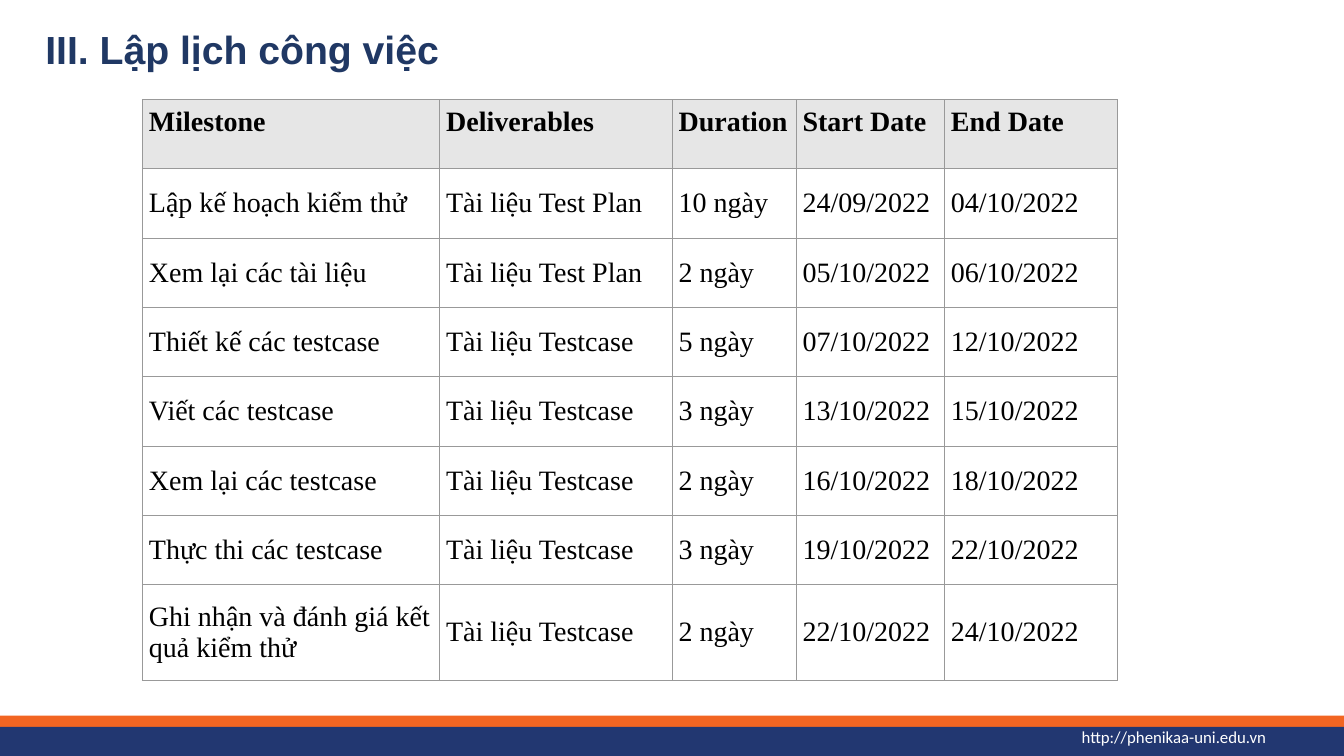
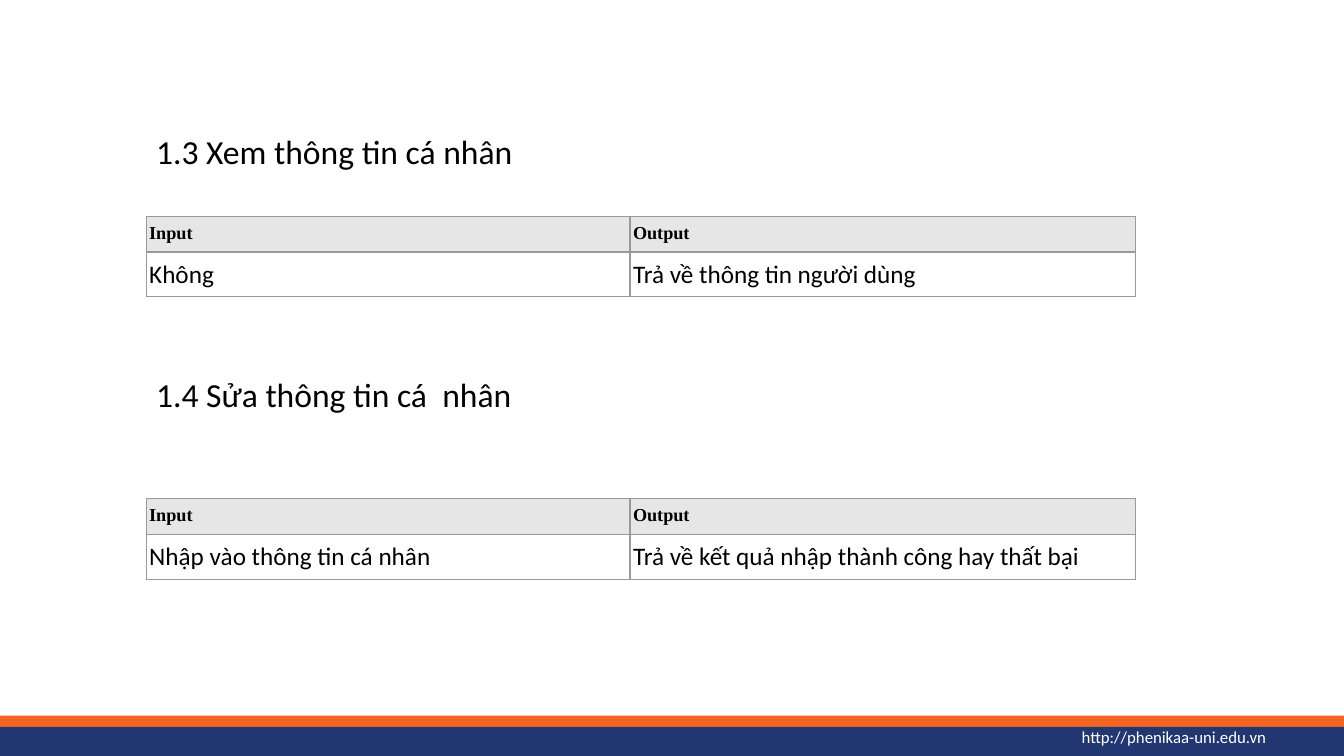
from lxml.etree import SubElement
from pptx import Presentation
from pptx.dml.color import RGBColor
from pptx.enum.shapes import MSO_SHAPE
from pptx.enum.text import MSO_ANCHOR, MSO_AUTO_SIZE, PP_ALIGN
from pptx.oxml.ns import qn
from pptx.util import Pt

NAVY = RGBColor(0x20, 0x38, 0x64)
BLUE = RGBColor(0x22, 0x37, 0x71)
ORANGE = RGBColor(0xF2, 0x65, 0x22)
GREY = RGBColor(0x99, 0x99, 0x99)
PALE = RGBColor(0xE6, 0xE6, 0xE6)
BLACK = RGBColor(0, 0, 0)
WHITE = RGBColor(0xFF, 0xFF, 0xFF)

PAGE_WIDTH, PAGE_HEIGHT = 960, 540
TITLE_ONLY, BLANK = 5, 6

SCHEDULE_COLUMNS = [212.3, 166, 88.6, 106, 123.8]
SCHEDULE_HEIGHTS = [49.5] * 7 + [68.5]
SCHEDULE = [
    ["Milestone", "Deliverables", "Duration", "Start Date", "End Date"],
    ["Lập kế hoạch kiểm thử", "Tài liệu Test Plan", "10 ngày", "24/09/2022", "04/10/2022"],
    ["Xem lại các tài liệu", "Tài liệu Test Plan", "2 ngày", "05/10/2022", "06/10/2022"],
    ["Thiết kế các testcase", "Tài liệu Testcase", "5 ngày", "07/10/2022", "12/10/2022"],
    ["Viết các testcase", "Tài liệu Testcase", "3 ngày", "13/10/2022", "15/10/2022"],
    ["Xem lại các testcase", "Tài liệu Testcase", "2 ngày", "16/10/2022", "18/10/2022"],
    ["Thực thi các testcase", "Tài liệu Testcase", "3 ngày", "19/10/2022", "22/10/2022"],
    ["Ghi nhận và đánh giá kết quả kiểm thử", "Tài liệu Testcase", "2 ngày",
     "22/10/2022", "24/10/2022"],
]


def style_text(para, font_name, size, color, bold=False):
    """Format every run of a paragraph."""
    for span in para.runs:
        span.font.name = font_name
        span.font.size = Pt(size)
        span.font.color.rgb = color
        span.font.bold = bold


def add_band(page, top, height, color):
    """Draw a full-width band."""
    band = page.shapes.add_shape(
        MSO_SHAPE.RECTANGLE, 0, Pt(top), Pt(PAGE_WIDTH), Pt(height))
    band.shadow.inherit = False
    band.fill.solid()
    band.fill.fore_color.rgb = color
    band.line.fill.background()


def add_label(page, left, top, width, height, text, size, color):
    """Place a line of text and return its frame."""
    box = page.shapes.add_textbox(Pt(left), Pt(top), Pt(width), Pt(height))
    frame = box.text_frame
    frame.word_wrap = True
    frame.text = text
    style_text(frame.paragraphs[0], "Calibri", size, color)
    return frame


def add_page(deck, layout_index):
    """Add a slide with the shared footer."""
    page = deck.slides.add_slide(deck.slide_layouts[layout_index])
    add_band(page, 511.2, 8.3, ORANGE)
    add_band(page, 519.1, 20.9, BLUE)
    frame = add_label(page, 772.6, 519.1, 177, 14.4,
                      "http://phenikaa-uni.edu.vn", 12, WHITE)
    frame.margin_left = frame.margin_right = 0
    frame.margin_top = frame.margin_bottom = 0
    frame.vertical_anchor = MSO_ANCHOR.MIDDLE
    return page


def set_title(page, text):
    """Fill and format the title placeholder."""
    title = page.shapes.title
    title.left, title.top, title.width, title.height = Pt(25.2), Pt(18), Pt(635), Pt(44)
    frame = title.text_frame
    frame.text = text
    frame.auto_size = MSO_AUTO_SIZE.NONE
    frame.vertical_anchor = MSO_ANCHOR.TOP
    para = frame.paragraphs[0]
    para.alignment = PP_ALIGN.LEFT
    para.line_spacing = 0.9
    style_text(para, "Arial", 28, NAVY, bold=True)


def set_borders(cell, width):
    """Draw grey lines on all four sides of a cell."""
    properties = cell._tc.get_or_add_tcPr()
    for side in ("a:lnL", "a:lnR", "a:lnT", "a:lnB"):
        line = SubElement(properties, qn(side), w=str(Pt(width)))
        fill = SubElement(line, qn("a:solidFill"))
        SubElement(fill, qn("a:srgbClr"), val=str(GREY))


def add_grid(page, left, top, widths, heights, rows, margin, border):
    """Add a bordered table with a shaded header and yield its cells by row."""
    table = page.shapes.add_table(
        len(rows), len(widths), Pt(left), Pt(top), Pt(sum(widths)), Pt(sum(heights))).table
    table.first_row = table.horz_banding = False
    for column, width in zip(table.columns, widths):
        column.width = Pt(width)
    for row_index, (row, height, texts) in enumerate(zip(table.rows, heights, rows)):
        row.height = Pt(height)
        for cell, text in zip(row.cells, texts):
            cell.text = text
            cell.margin_left = cell.margin_right = Pt(margin)
            cell.margin_top = cell.margin_bottom = Pt(5)
            set_borders(cell, border)
            if row_index == 0:
                cell.fill.solid()
                cell.fill.fore_color.rgb = PALE
            else:
                cell.fill.background()
            yield row_index == 0, cell


def add_schedule(page, left, top):
    """Place the milestone table."""
    for is_header, cell in add_grid(page, left, top, SCHEDULE_COLUMNS,
                                    SCHEDULE_HEIGHTS, SCHEDULE, 4.8, 0.5):
        para = cell.text_frame.paragraphs[0]
        para.space_after = Pt(8)
        style_text(para, "Times New Roman", 20, BLACK, bold=is_header)
        if not is_header:
            cell.vertical_anchor = MSO_ANCHOR.MIDDLE


def add_function(page, left, top, table_offset, heading, values):
    """Place a function heading with its input and output table below."""
    add_label(page, left, top, 425, 36, heading, 24, BLACK)
    for is_header, cell in add_grid(page, left, top + table_offset, [345.6, 360.8],
                                    [25.6, 32], [["Input", "Output"], values], 2.2, 1):
        para = cell.text_frame.paragraphs[0]
        if is_header:
            para.space_after = Pt(8)
            style_text(para, "Times New Roman", 13, BLACK, bold=True)
        else:
            style_text(para, "Calibri", 18, BLACK)


def main():
    """Build and save the deck."""
    deck = Presentation()
    deck.slide_width, deck.slide_height = Pt(PAGE_WIDTH), Pt(PAGE_HEIGHT)

    schedule_page = add_page(deck, TITLE_ONLY)
    set_title(schedule_page, "III. Lập lịch công việc")
    add_schedule(schedule_page, 101.6, 71)

    function_page = add_page(deck, BLANK)
    add_function(function_page, 104.4, 90, 64.4, "1.3 Xem thông tin cá nhân",
                 ["Không", "Trả về thông tin người dùng"])
    add_function(function_page, 104.4, 263.5, 92.6, "1.4 Sửa thông tin cá  nhân",
                 ["Nhập vào thông tin cá nhân",
                  "Trả về kết quả nhập thành công hay thất bại"])
    deck.save("out.pptx")


if __name__ == "__main__":
    main()
